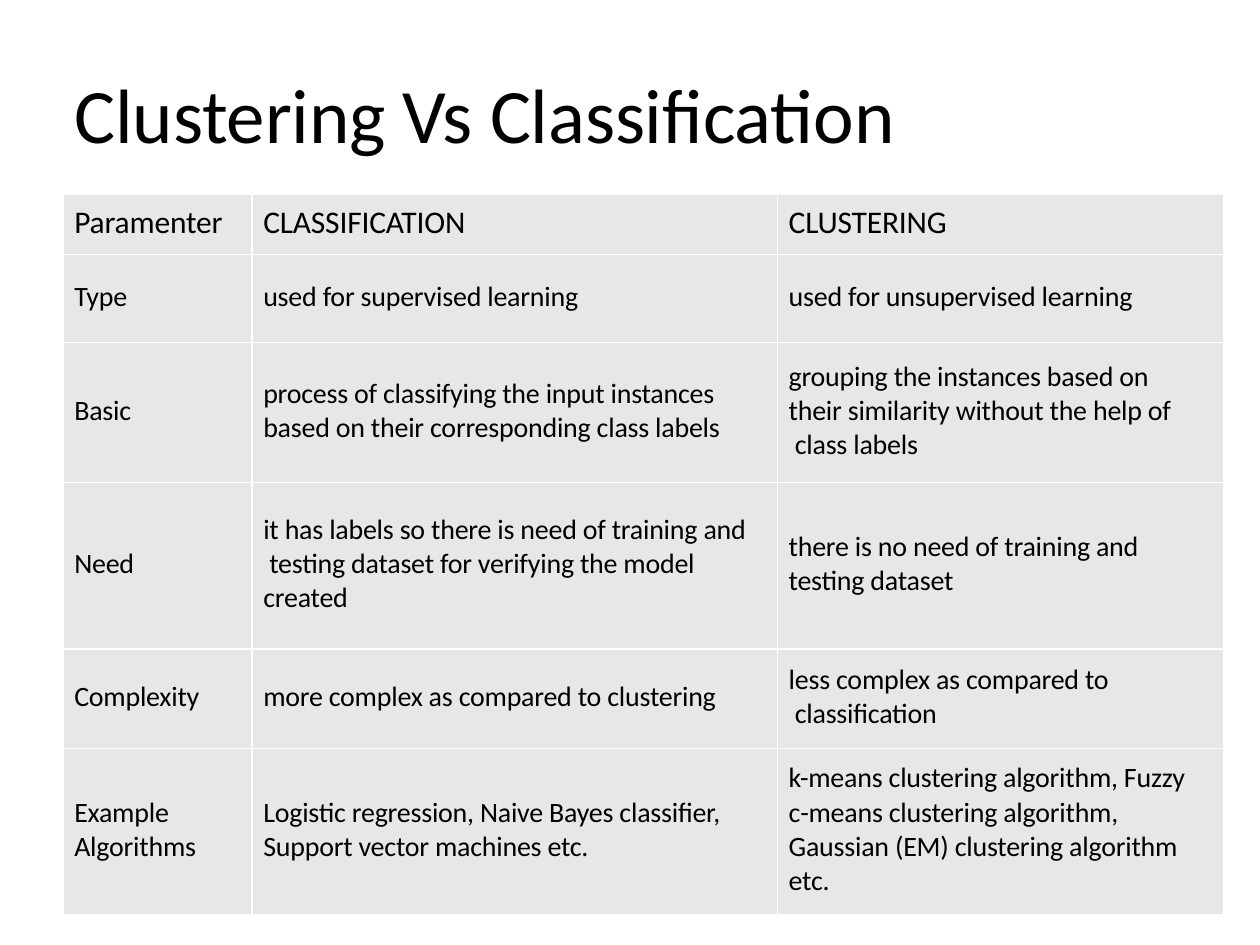
from lxml.etree import SubElement
from pptx import Presentation
from pptx.dml.color import RGBColor
from pptx.enum.text import MSO_ANCHOR
from pptx.oxml.ns import qn
from pptx.util import Inches, Pt

TITLE = "Clustering Vs Classification"
ROWS = [
    ("Paramenter", "CLASSIFICATION", "CLUSTERING"),
    ("Type", "used for supervised learning", "used for unsupervised learning"),
    ("Basic",
     "process of classifying the input instances\nbased on their corresponding class labels",
     "grouping the instances based on\vtheir similarity without the help of\v class labels"),
    ("Need",
     "it has labels so there is need of training and\v testing dataset for verifying the model\vcreated",
     "there is no need of training and\ntesting dataset"),
    ("Complexity", "more complex as compared to clustering",
     "less complex as compared to\v classification"),
    ("Example\vAlgorithms",
     "Logistic regression, Naive Bayes classifier,\vSupport vector machines etc.",
     "k-means clustering algorithm, Fuzzy\vc-means clustering algorithm,\v"
     "Gaussian (EM) clustering algorithm\vetc."),
]
COL_WIDTHS = (1.5, 4.17, 3.54)
ROW_HEIGHTS = (0.48, 0.7, 1.11, 1.32, 0.79, 1.32)
COLORS = {"text": "000000", "cell": "E7E7E7", "border": "FFFFFF"}
FONT = "Calibri"
HEADER_SIZE, BODY_SIZE, TITLE_SIZE = 18, 16, 44


def write(tf, text, size):
    tf.text = text
    for p in tf.paragraphs:
        p.font.name = FONT
        p.font.size = Pt(size)
        p.font.color.rgb = RGBColor.from_string(COLORS["text"])
        for r in p.runs:  # slightly tightened letter spacing
            r._r.get_or_add_rPr().set("spc", "-10")


def add_borders(cell):
    tcPr = cell._tc.get_or_add_tcPr()
    for i, side in enumerate(("lnL", "lnR", "lnT", "lnB")):
        ln = SubElement(tcPr, qn(f"a:{side}"), w=str(Pt(1)))
        fill = SubElement(ln, qn("a:solidFill"))
        SubElement(fill, qn("a:srgbClr"), val=COLORS["border"])
        tcPr.remove(ln)
        tcPr.insert(i, ln)


prs = Presentation()
prs.slide_width, prs.slide_height = Inches(10), Inches(7.5)
s = prs.slides.add_slide(prs.slide_layouts[6])

tf = s.shapes.add_textbox(Inches(0.59), Inches(0.51), Inches(6.58), Inches(0.76)).text_frame
tf.word_wrap = True
tf.margin_left = tf.margin_right = tf.margin_bottom = 0
tf.margin_top = Inches(0.02)
write(tf, TITLE, TITLE_SIZE)

table = s.shapes.add_table(len(ROWS), len(COL_WIDTHS), Inches(0.5), Inches(1.54),
                           Inches(sum(COL_WIDTHS)), Inches(sum(ROW_HEIGHTS))).table
table.first_row = table.horz_banding = False
for column, width in zip(table.columns, COL_WIDTHS):
    column.width = Inches(width)
for i, (row, height, texts) in enumerate(zip(table.rows, ROW_HEIGHTS, ROWS)):
    row.height = Inches(height)
    for cell, text in zip(row.cells, texts):
        cell.margin_left = Inches(0.09)
        cell.margin_right = cell.margin_top = 0
        cell.margin_bottom = Inches(0.03)
        cell.vertical_anchor = MSO_ANCHOR.MIDDLE
        cell.fill.solid()
        cell.fill.fore_color.rgb = RGBColor.from_string(COLORS["cell"])
        add_borders(cell)
        write(cell.text_frame, text, BODY_SIZE if i else HEADER_SIZE)

prs.save("out.pptx")
